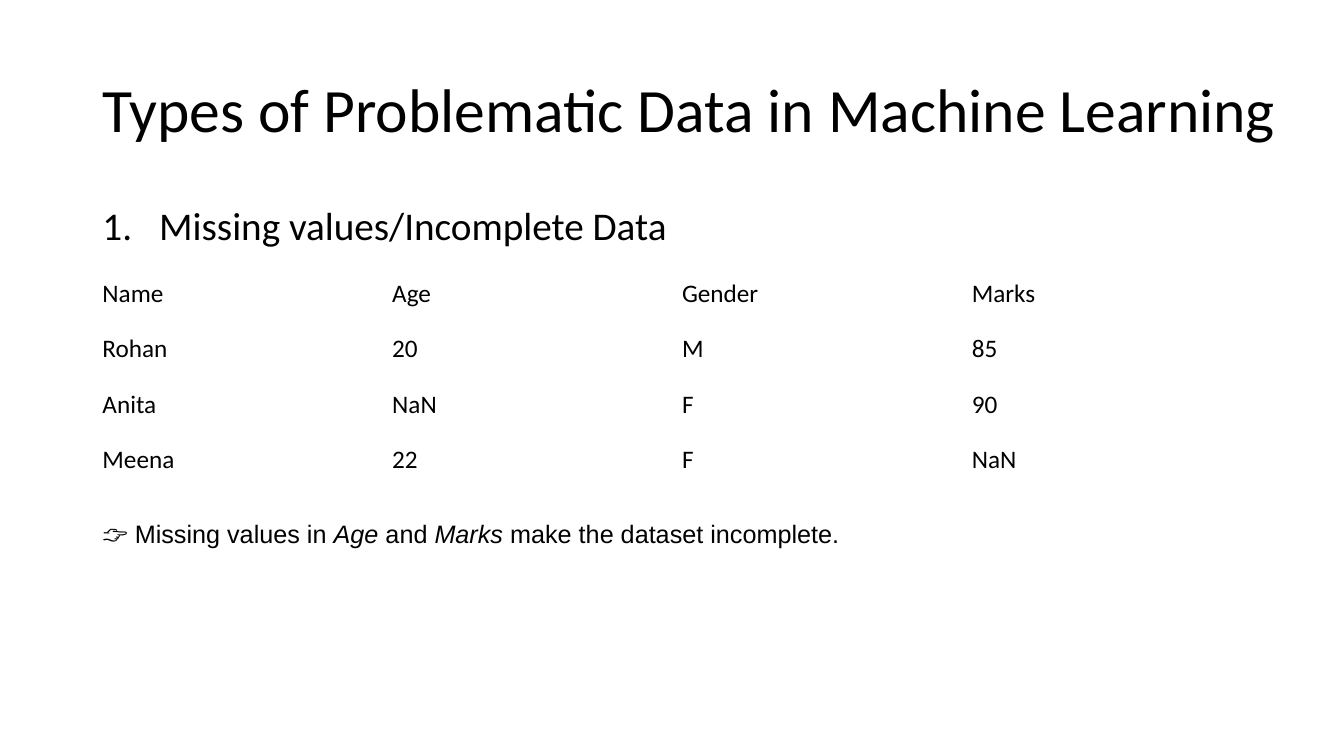
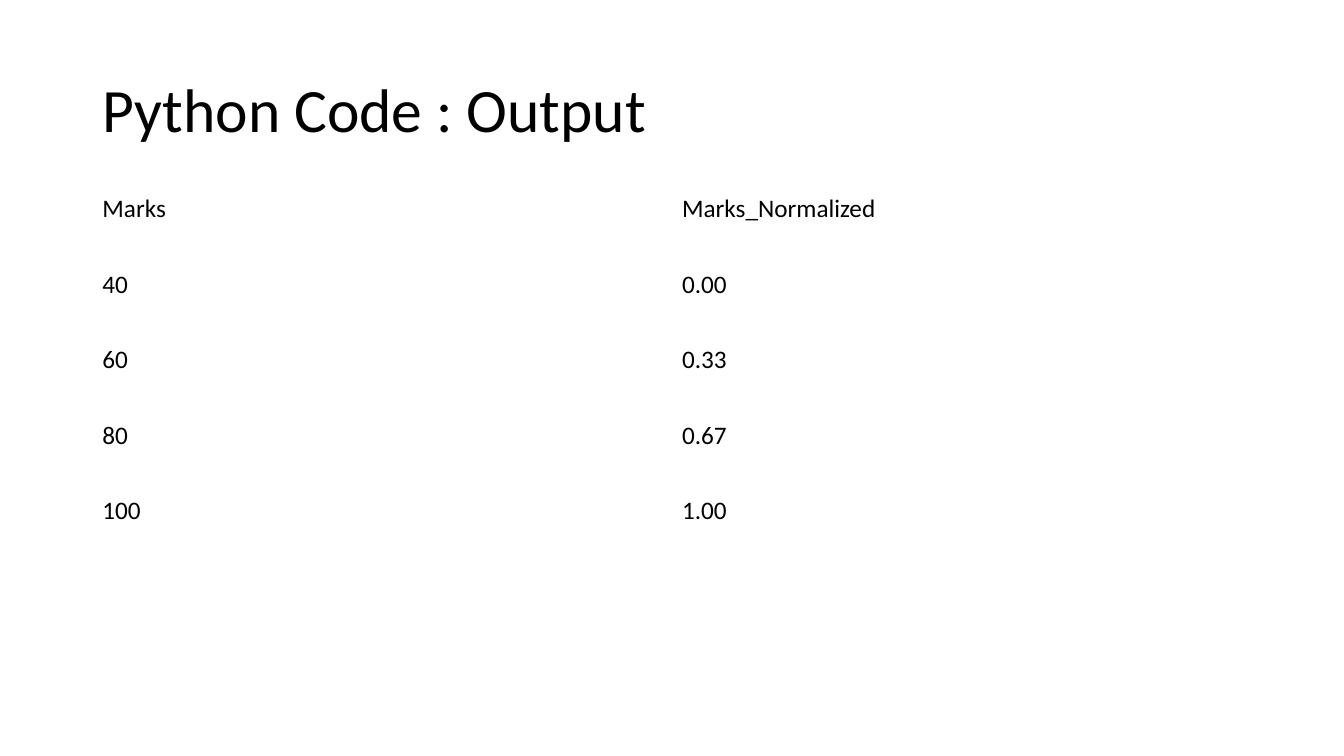
from pptx import Presentation
from pptx.dml.color import RGBColor
from pptx.enum.text import MSO_ANCHOR, MSO_AUTO_SIZE, PP_ALIGN
from pptx.oxml.ns import qn
from pptx.util import Pt
from lxml import etree

# Content
PROBLEM_TITLE = "Types of Problematic Data in Machine Learning"
PROBLEM_TYPES = ["Missing values/Incomplete Data"]
STUDENTS = [
    ("Name", "Age", "Gender", "Marks"),
    ("Rohan", "20", "M", "85"),
    ("Anita", "NaN", "F", "90"),
    ("Meena", "22", "F", "NaN"),
]
# (text, italic)
MISSING_NOTE = [
    ("👉 Missing values in ", False),
    ("Age", True),
    (" and ", False),
    ("Marks", True),
    (" make the dataset incomplete.", False),
]
OUTPUT_TITLE = "Python Code : Output"
NORMALIZED = [
    ("Marks", "Marks_Normalized"),
    ("40", "0.00"),
    ("60", "0.33"),
    ("80", "0.67"),
    ("100", "1.00"),
]

# Shared style, lengths in px
SCALE = 9525
SLIDE_W, SLIDE_H = 1280, 720
LEFT, CONTENT_W = 88, 1104
TITLE_TOP, TITLE_H = 38, 139
NUMBER_INDENT = 54
BLACK = RGBColor(0x00, 0x00, 0x00)
BODY_FONT, NOTE_FONT = "Calibri", "Arial"
TITLE_ONLY, TITLE_AND_CONTENT = 5, 1


def px(length):
    return round(length * SCALE)


def place(shape, left, top, width, height):
    shape.left, shape.top = px(left), px(top)
    shape.width, shape.height = px(width), px(height)


def style(paragraph, size, font=BODY_FONT):
    paragraph.alignment = PP_ALIGN.LEFT
    paragraph.space_before = Pt(0)
    for run in paragraph.runs:
        run.font.size = Pt(size)
        run.font.name = font
        run.font.color.rgb = BLACK


def add_slide(prs, layout, title, title_w=CONTENT_W):
    slide = prs.slides.add_slide(prs.slide_layouts[layout])
    heading = slide.shapes.title
    place(heading, LEFT, TITLE_TOP, title_w, TITLE_H)
    frame = heading.text_frame
    frame.text = title
    frame.auto_size = MSO_AUTO_SIZE.NONE
    frame.vertical_anchor = MSO_ANCHOR.MIDDLE
    frame.paragraphs[0].line_spacing = 0.9
    style(frame.paragraphs[0], 44)
    return slide


def fill_numbered_list(body, items, top, height):
    place(body, LEFT, top, CONTENT_W, height)
    frame = body.text_frame
    frame.text = "\n".join(items)
    frame.auto_size = MSO_AUTO_SIZE.NONE
    for paragraph in frame.paragraphs:
        paragraph.line_spacing = 0.9
        style(paragraph, 28)
        props = paragraph._p.get_or_add_pPr()
        props.set("marL", str(px(NUMBER_INDENT)))
        props.set("indent", str(-px(NUMBER_INDENT)))
        number = etree.SubElement(props, qn("a:buAutoNum"))
        number.set("type", "arabicPeriod")


def add_plain_table(slide, rows, top, height):
    table = slide.shapes.add_table(
        len(rows), len(rows[0]), px(LEFT), px(top), px(CONTENT_W), px(height)
    ).table
    table.first_row = table.horz_banding = False
    for r, row in enumerate(rows):
        for c, value in enumerate(row):
            cell = table.cell(r, c)
            cell.text = value
            cell.fill.background()
            cell.vertical_anchor = MSO_ANCHOR.MIDDLE
            style(cell.text_frame.paragraphs[0], 18)


def add_note(slide, pieces, top, width, height):
    note = slide.shapes.add_textbox(px(LEFT), px(top), px(width), px(height))
    frame = note.text_frame
    frame.word_wrap = True
    frame.vertical_anchor = MSO_ANCHOR.MIDDLE
    paragraph = frame.paragraphs[0]
    for text, italic in pieces:
        run = paragraph.add_run()
        run.text = text
        run.font.italic = italic
    style(paragraph, 18, NOTE_FONT)


def main():
    prs = Presentation()
    prs.slide_width, prs.slide_height = px(SLIDE_W), px(SLIDE_H)

    # Missing values
    missing = add_slide(prs, TITLE_AND_CONTENT, PROBLEM_TITLE, SLIDE_W - LEFT)
    fill_numbered_list(missing.placeholders[1], PROBLEM_TYPES, 192, 457)
    add_plain_table(missing, STUDENTS, 254, 210)
    add_note(missing, MISSING_NOTE, 489, 760, 39)

    # Normalized output
    output = add_slide(prs, TITLE_ONLY, OUTPUT_TITLE)
    add_plain_table(output, NORMALIZED, 163, 360)

    prs.save("out.pptx")


if __name__ == "__main__":
    main()
